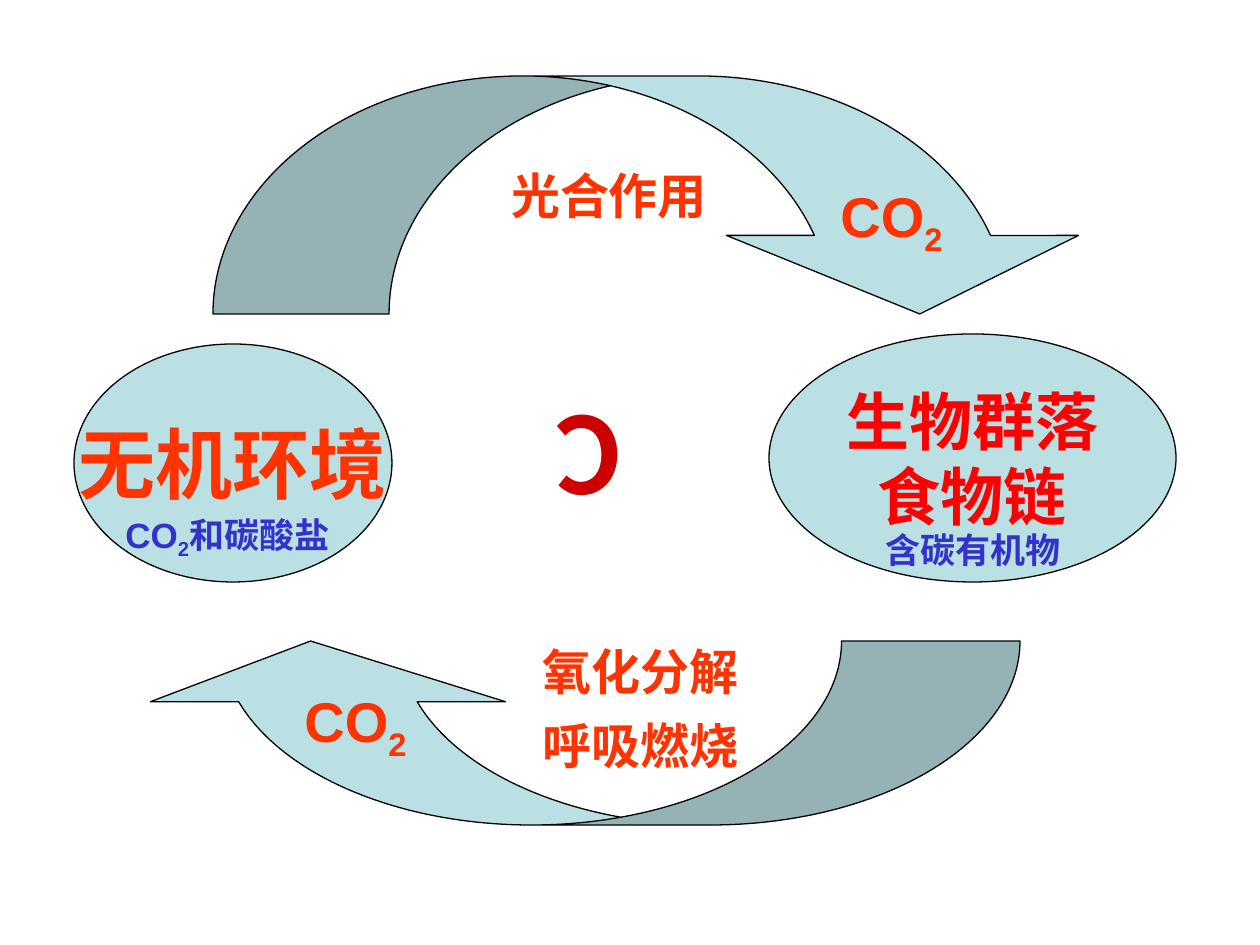
from lxml import etree
from pptx import Presentation
from pptx.dml.color import RGBColor
from pptx.enum.shapes import MSO_SHAPE
from pptx.enum.text import MSO_ANCHOR, PP_ALIGN
from pptx.oxml.ns import qn
from pptx.util import Emu, Pt

ELLIPSE = MSO_SHAPE.OVAL
DOWN_ARROW = MSO_SHAPE.CURVED_DOWN_ARROW
LEFT_ARROW = MSO_SHAPE.CURVED_LEFT_ARROW
CENTER, LEFT = PP_ALIGN.CENTER, PP_ALIGN.LEFT
TOP, MIDDLE = MSO_ANCHOR.TOP, MSO_ANCHOR.MIDDLE

SCALE = 914400 / 126
CJK_FONT = "Noto Sans CJK SC"
PALE, BLACK = "BBE0E3", "000000"
ORANGE, RED, BLUE, DARK_RED = "FF3300", "FF0000", "3333CC", "CC0000"


def px(n):
    return Emu(round(n * SCALE))


def color(hex_string):
    return RGBColor.from_string(hex_string)


def add_run(p, text, size, fill, font="Arial", subscript=False):
    r = p.add_run()
    r.text = text
    r.font.size, r.font.bold = Pt(size), True
    r.font.color.rgb = color(fill)
    r.font.name = font
    rPr = r.font._element
    etree.SubElement(rPr, qn("a:ea")).set("typeface", CJK_FONT)
    if subscript:
        rPr.set("baseline", "-25000")
    return r


def add_formula(p, size, fill):
    add_run(p, "CO", size, fill)
    add_run(p, "2", size, fill, subscript=True)


def add_label(s, x, y, w, h, align=LEFT, anchor=TOP, wrap=True):
    sp = s.shapes.add_textbox(px(x), px(y), px(w), px(h))
    tf = sp.text_frame
    tf.word_wrap, tf.vertical_anchor = wrap, anchor
    tf.paragraphs[0].alignment = align
    return sp, tf.paragraphs[0]


def add_filled(s, kind, x, y, w, h):
    sp = s.shapes.add_shape(kind, px(x), px(y), px(w), px(h))
    sp.shadow.inherit = False
    sp.fill.solid()
    sp.fill.fore_color.rgb = color(PALE)
    sp.line.color.rgb = color(BLACK)
    sp.line.width = Pt(0.75)
    return sp


def add_pool(s, x, y, w, h, lines, size, fill):
    """Draw an ellipse that names one carbon pool."""
    tf = add_filled(s, ELLIPSE, x, y, w, h).text_frame
    tf.word_wrap, tf.vertical_anchor = False, MIDDLE
    for i, line in enumerate(lines):
        p = tf.add_paragraph() if i else tf.paragraphs[0]
        p.alignment = CENTER
        add_run(p, line, size, fill)


def add_environment(s, x, y, w, h):
    add_pool(s, x, y, w, h, ["无机环境"], 44, ORANGE)
    _, p = add_label(s, x + 39, y + 163, 238, 60)
    add_formula(p, 20, BLUE)
    add_run(p, "和碳酸盐", 20, BLUE)


def add_community(s, x, y, w, h):
    add_pool(s, x, y, w, h, ["生物群落", "食物链"], 36, RED)
    _, p = add_label(s, x + 63, y + 188, 282, 55, CENTER)
    add_run(p, "含碳有机物", 20, BLUE)


def set_adjustments(sp, *values):
    for i, value in enumerate(values):
        sp.adjustments[i] = value


def add_uptake(s, x, y, w, h):
    """Draw the upper arrow, from environment to community."""
    sp = add_filled(s, DOWN_ARROW, x, y, w, h)
    set_adjustments(sp, 0.74, 1.48, 0.33)
    _, p = add_label(s, x + 274, y + 90, 244, 58, CENTER, MIDDLE, wrap=False)
    add_run(p, "光合作用", 28, ORANGE)
    _, p = add_label(s, x + 615, y + 99, 169, 89)
    add_formula(p, 32, ORANGE)


def add_release(s, x, y, w, h):
    """Draw the lower arrow, from community back to environment."""
    shift = (w - h) / 2
    sp = add_filled(s, LEFT_ARROW, x + shift, y - shift, h, w)
    sp.rotation = 90
    set_adjustments(sp, 0.97, 1.93, 0.33)
    _, p = add_label(s, x + 159, y + 39, 149, 89)
    add_formula(p, 32, ORANGE)
    _, p = add_label(s, x + 397, y - 20, 258, 160)
    p.line_spacing = 1.25
    add_run(p, "氧化分解呼吸燃烧", 28, ORANGE, "Times New Roman")


def add_carbon(s, x, y, w, h):
    """Draw the turned letter in the middle of the cycle."""
    sp, p = add_label(s, x, y, w, h, anchor=MIDDLE, wrap=False)
    sp.rotation = 90
    tf = sp.text_frame
    tf.margin_left = tf.margin_right = Pt(3.6)
    tf.margin_top = tf.margin_bottom = Pt(7.2)
    sp._element.txBody.bodyPr.set("vert", "eaVert")
    rPr = add_run(p, "C", 60, DARK_RED, CJK_FONT).font._element
    ln = etree.Element(qn("a:ln"), w=str(Pt(0.75)))
    fill = etree.SubElement(ln, qn("a:solidFill"))
    etree.SubElement(fill, qn("a:srgbClr"), val=BLACK)
    rPr.insert(0, ln)


def main():
    prs = Presentation()
    prs.slide_width, prs.slide_height = px(1260), px(945)
    s = prs.slides.add_slide(prs.slide_layouts[6])
    add_uptake(s, 213, 76, 883, 238)
    add_release(s, 133, 641, 887, 184)
    add_environment(s, 74, 344, 318, 238)
    add_community(s, 769, 334, 407, 248)
    add_carbon(s, 549, 416, 89, 86)
    prs.save("out.pptx")


if __name__ == "__main__":
    main()
